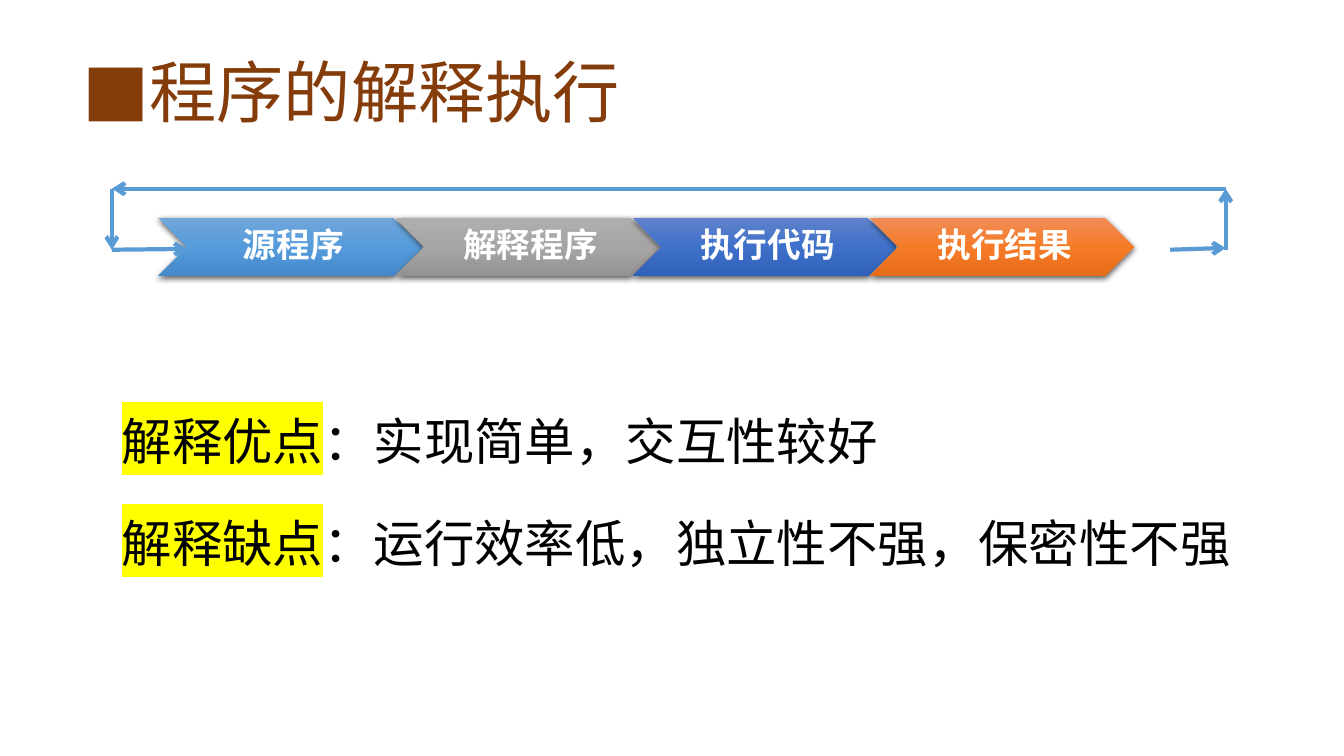
"""Build the slide on interpreted program execution."""
from copy import deepcopy
from dataclasses import dataclass

from lxml import etree
from pptx import Presentation
from pptx import util as u
from pptx.dml.color import RGBColor
from pptx.enum import shapes, text
from pptx.oxml.ns import qn

FONT = "Noto Sans CJK SC"
COLORS = {"heading": "843C0B", "body": "000000", "label": "FFFFFF",
          "highlight": "FFFF00", "loop": "5B9BD5", "shadow": "000000"}
STAGE_LEFT, STAGE_TOP, STAGE_PITCH = 113.04, 155.6, 169.4
STAGE_WIDTH, STAGE_HEIGHT = 188.64, 41.76
LOOP_LEFT, LOOP_RIGHT, LOOP_TOP, LOOP_BOTTOM = 79.92, 875.5, 134.8, 178.4


@dataclass(frozen=True)
class Stage:
    label: str
    gradient: tuple[str, str, str]


@dataclass(frozen=True)
class Remark:
    term: str
    detail: str
    top: float
    width: float


@dataclass(frozen=True)
class Arrow:
    start: tuple[float, float]
    end: tuple[float, float]


STAGES = (
    Stage("源程序", ("71A6DB", "559BDB", "448ACA")),
    Stage("解释程序", ("AFAFAF", "A5A5A5", "939393")),
    Stage("执行代码", ("6183CB", "3E70CA", "3062BB")),
    Stage("执行结果", ("F18C57", "F67B28", "E56C19")),
)
REMARKS = (
    Remark("解释优点", "：实现简单，交互性较好", 289.44, 717.84),
    Remark("解释缺点", "：运行效率低，独立性不强，保密性不强", 362.16, 852.48),
)
ARROWS = (
    Arrow((835.9, LOOP_BOTTOM), (LOOP_RIGHT, 177.1)),
    Arrow((LOOP_RIGHT, LOOP_BOTTOM), (LOOP_RIGHT, LOOP_TOP)),
    Arrow((LOOP_RIGHT, LOOP_TOP), (LOOP_LEFT, LOOP_TOP)),
    Arrow((LOOP_LEFT, LOOP_TOP), (LOOP_LEFT, LOOP_BOTTOM)),
    Arrow((LOOP_LEFT, LOOP_BOTTOM), (133.92, 177.8)),
)


def apply(target, values: dict) -> None:
    for key, value in values.items():
        setattr(target, key, value)


def add_words(paragraph, words: str, size: float, color: str,
              bold: bool = False, highlight: str = "") -> None:
    run = paragraph.add_run()
    run.text = words
    run.font.color.rgb = RGBColor.from_string(COLORS[color])
    props = run.font._element
    if highlight:
        marker = etree.SubElement(props, qn("a:highlight"))
        etree.SubElement(marker, qn("a:srgbClr"), val=COLORS[highlight])
    apply(run.font, {"name": FONT, "size": u.Pt(size), "bold": bold})
    etree.SubElement(props, qn("a:ea"), typeface=FONT)


def add_heading(slide) -> None:
    heading = slide.shapes.add_textbox(
        u.Pt(51.84), u.Pt(38.88), u.Pt(828), u.Pt(393.84))
    heading.text_frame.word_wrap = True
    paragraph = heading.text_frame.paragraphs[0]
    props = paragraph._p.get_or_add_pPr()
    apply(paragraph, {"line_spacing": 0.9})
    for key, points in {"marL": 18, "indent": -18}.items():
        props.set(key, str(u.Pt(points)))
    etree.SubElement(props, qn("a:buFont"), typeface=FONT)
    etree.SubElement(props, qn("a:buChar"), char="■")
    add_words(paragraph, "程序的解释执行", 48, "heading")


def add_remark(slide, remark: Remark) -> None:
    box = slide.shapes.add_textbox(
        u.Pt(79.92), u.Pt(remark.top), u.Pt(remark.width), u.Pt(51.12))
    apply(box.text_frame, {"word_wrap": True,
                           "auto_size": text.MSO_AUTO_SIZE.SHAPE_TO_FIT_TEXT})
    paragraph = box.text_frame.paragraphs[0]
    add_words(paragraph, remark.term, 36, "body", highlight="highlight")
    add_words(paragraph, remark.detail, 36, "body")


def add_stage(slide, stage: Stage, position: int) -> None:
    chevron = slide.shapes.add_shape(
        shapes.MSO_SHAPE.CHEVRON,
        u.Pt(STAGE_LEFT + position * STAGE_PITCH), u.Pt(STAGE_TOP),
        u.Pt(STAGE_WIDTH), u.Pt(STAGE_HEIGHT))
    chevron.line.fill.background()
    chevron.fill.gradient()
    chevron.fill.gradient_angle = 270
    props = chevron._element.spPr
    stops = props.find(qn("a:gradFill")).find(qn("a:gsLst"))
    stops.append(deepcopy(stops[-1]))
    for index, (stop, color) in enumerate(
            zip(chevron.fill.gradient_stops, stage.gradient)):
        stop.color.rgb = RGBColor.from_string(color)
        stop.position = index / 2
    chevron.shadow.inherit = False
    shadow = etree.SubElement(
        props.find(qn("a:effectLst")), qn("a:outerShdw"),
        blurRad=str(u.Pt(4.5)), dist=str(u.Pt(1.5)), dir="5400000",
        algn="ctr", rotWithShape="0")
    shade = etree.SubElement(shadow, qn("a:srgbClr"), val=COLORS["shadow"])
    etree.SubElement(shade, qn("a:alpha"), val="63000")

    apply(chevron.text_frame, {
        "word_wrap": True, "vertical_anchor": text.MSO_ANCHOR.MIDDLE,
        "margin_left": u.Pt(7.2), "margin_right": u.Pt(2.88),
        "margin_top": u.Pt(2.88), "margin_bottom": u.Pt(2.88)})
    paragraph = chevron.text_frame.paragraphs[0]
    apply(paragraph, {"alignment": text.PP_ALIGN.CENTER, "line_spacing": 0.9})
    add_words(paragraph, stage.label, 24, "label", bold=True)


def add_arrow(slide, arrow: Arrow) -> None:
    connector = slide.shapes.add_connector(
        shapes.MSO_CONNECTOR.STRAIGHT,
        *(u.Pt(value) for value in arrow.start + arrow.end))
    connector.line.width = u.Pt(3)
    connector.line.color.rgb = RGBColor.from_string(COLORS["loop"])
    props = connector._element.spPr
    etree.SubElement(props.find(qn("a:ln")), qn("a:tailEnd"), type="arrow")
    etree.SubElement(props, qn("a:effectLst"))


def main() -> None:
    deck = Presentation()
    apply(deck, {"slide_width": u.Pt(960), "slide_height": u.Pt(540)})
    slide = deck.slides.add_slide(deck.slide_layouts[6])
    add_heading(slide)
    for position, stage in enumerate(STAGES):
        add_stage(slide, stage, position)
    for arrow in ARROWS:
        add_arrow(slide, arrow)
    for remark in REMARKS:
        add_remark(slide, remark)
    deck.save("out.pptx")


if __name__ == "__main__":
    main()
